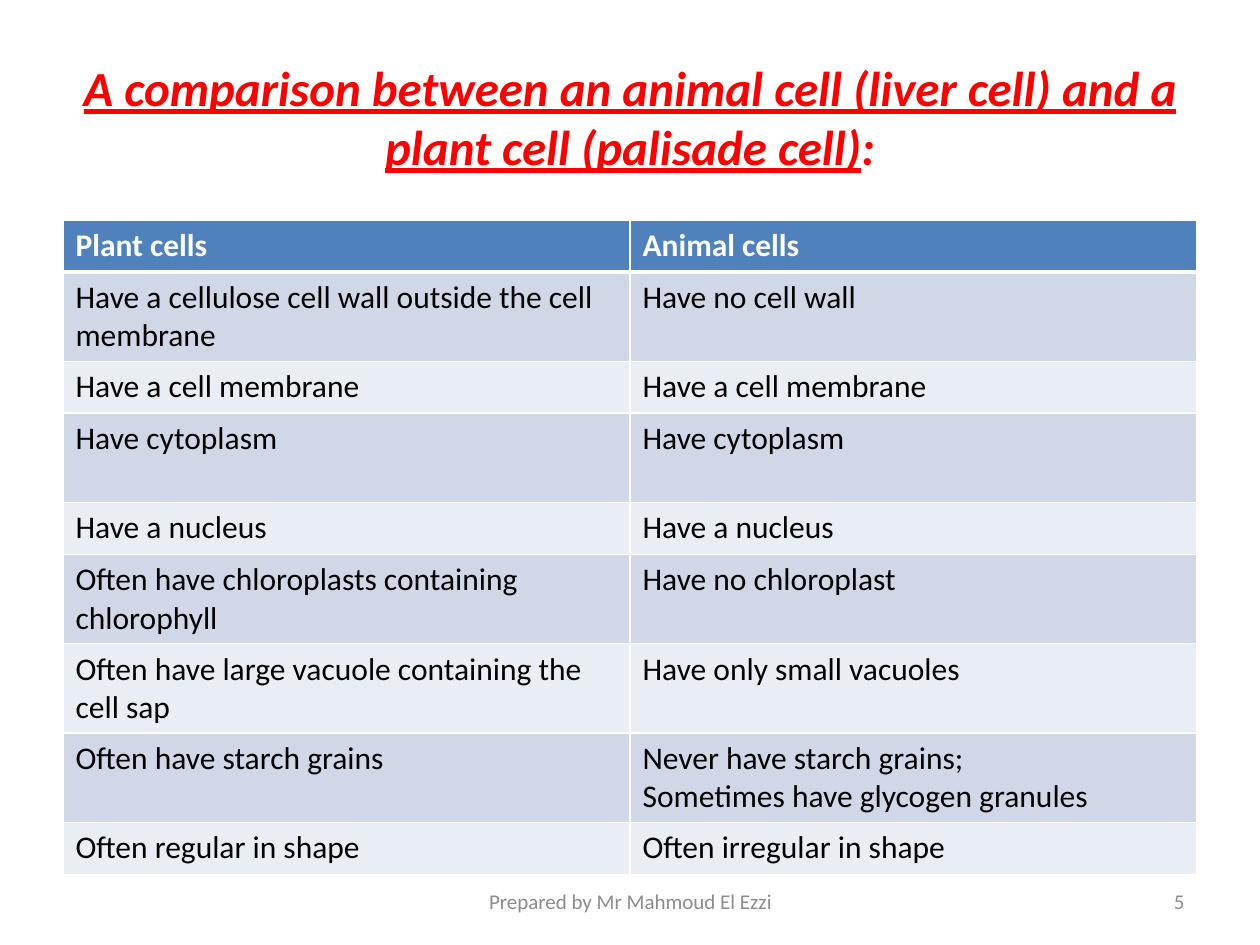
from lxml import etree
from pptx import Presentation
from pptx.dml.color import RGBColor
from pptx.enum.text import MSO_ANCHOR, PP_ALIGN
from pptx.oxml.ns import qn
from pptx.util import Inches, Pt

CENTER, RIGHT = PP_ALIGN.CENTER, PP_ALIGN.RIGHT
MIDDLE = MSO_ANCHOR.MIDDLE
TITLE_ONLY = 5

FONT = "Calibri"
RED, WHITE, BLACK, GRAY = "FF0000", "FFFFFF", "000000", "8C8C8C"
HEADER_FILL = "4F81BD"
BAND_FILLS = ("E9EDF4", "D0D8E8")
SHORT_ROW, TALL_ROW = 0.41, 0.71

# Each row: height, plant cells, animal cells
ROWS = [
    (SHORT_ROW, "Plant cells", "Animal cells"),
    (TALL_ROW, "Have a cellulose cell wall outside the cell membrane", "Have no cell wall"),
    (SHORT_ROW, "Have a cell membrane", "Have a cell membrane"),
    (TALL_ROW, "Have cytoplasm", "Have cytoplasm"),
    (SHORT_ROW, "Have a nucleus", "Have a nucleus"),
    (TALL_ROW, "Often have chloroplasts containing chlorophyll", "Have no chloroplast"),
    (TALL_ROW, "Often have large vacuole containing the cell sap", "Have only small vacuoles"),
    (TALL_ROW, "Often have starch grains",
     "Never have starch grains;\nSometimes have glycogen granules"),
    (SHORT_ROW, "Often regular in shape", "Often irregular in shape"),
]


def color(value):
    return RGBColor.from_string(value)


def style_font(font, size, value, bold=False):
    font.name = FONT
    font.size = Pt(size)
    font.color.rgb = color(value)
    font.bold = bold


def set_title(slide):
    title = slide.shapes.title
    title.left, title.top = Inches(0.5), Inches(0.3)
    title.width, title.height = Inches(9), Inches(1.25)
    title.text_frame.vertical_anchor = MIDDLE
    paragraph = title.text_frame.paragraphs[0]
    paragraph.alignment = CENTER
    style_font(paragraph.font, 28, RED, bold=True)
    paragraph.font.italic = True
    heading = paragraph.add_run()
    heading.text = "A comparison between an animal cell (liver cell) and a plant cell (palisade cell)"
    heading.font.underline = True
    paragraph.add_run().text = ":"


def add_footer_text(slide, text, left, width, alignment):
    box = slide.shapes.add_textbox(Inches(left), Inches(6.95), Inches(width), Inches(0.4))
    frame = box.text_frame
    frame.word_wrap = True
    frame.vertical_anchor = MIDDLE
    paragraph = frame.paragraphs[0]
    paragraph.text = text
    paragraph.alignment = alignment
    style_font(paragraph.font, 12, GRAY)


def add_borders(cell, bottom_width, top_width):
    """Draw white lines on all four sides; call before the cell is filled."""
    properties = cell._tc.get_or_add_tcPr()
    for side, width in (("L", 1), ("R", 1), ("T", top_width), ("B", bottom_width)):
        line = etree.SubElement(properties, qn(f"a:ln{side}"), w=str(Pt(width)))
        fill = etree.SubElement(line, qn("a:solidFill"))
        etree.SubElement(fill, qn("a:srgbClr"), val=WHITE)


def fill_cell(cell, text, row_index):
    is_header = row_index == 0
    cell.text = text
    for paragraph in cell.text_frame.paragraphs:
        style_font(paragraph.font, 18, WHITE if is_header else BLACK, bold=is_header)
    add_borders(cell, 3 if is_header else 1, 3 if row_index == 1 else 1)
    cell.fill.solid()
    cell.fill.fore_color.rgb = color(HEADER_FILL if is_header else BAND_FILLS[row_index % 2])


def add_comparison_table(slide):
    height = sum(row[0] for row in ROWS)
    table = slide.shapes.add_table(
        len(ROWS), 2, Inches(0.5), Inches(1.75), Inches(9), Inches(height)).table
    for row_index, (row_height, *texts) in enumerate(ROWS):
        table.rows[row_index].height = Inches(row_height)
        for column_index, text in enumerate(texts):
            fill_cell(table.cell(row_index, column_index), text, row_index)


def main():
    presentation = Presentation()
    presentation.slide_width, presentation.slide_height = Inches(10), Inches(7.5)
    slide = presentation.slides.add_slide(presentation.slide_layouts[TITLE_ONLY])
    set_title(slide)
    add_footer_text(slide, "Prepared by Mr Mahmoud El Ezzi", 3.42, 3.17, CENTER)
    add_footer_text(slide, "5", 7.17, 2.33, RIGHT)
    add_comparison_table(slide)
    presentation.save("out.pptx")


if __name__ == "__main__":
    main()
